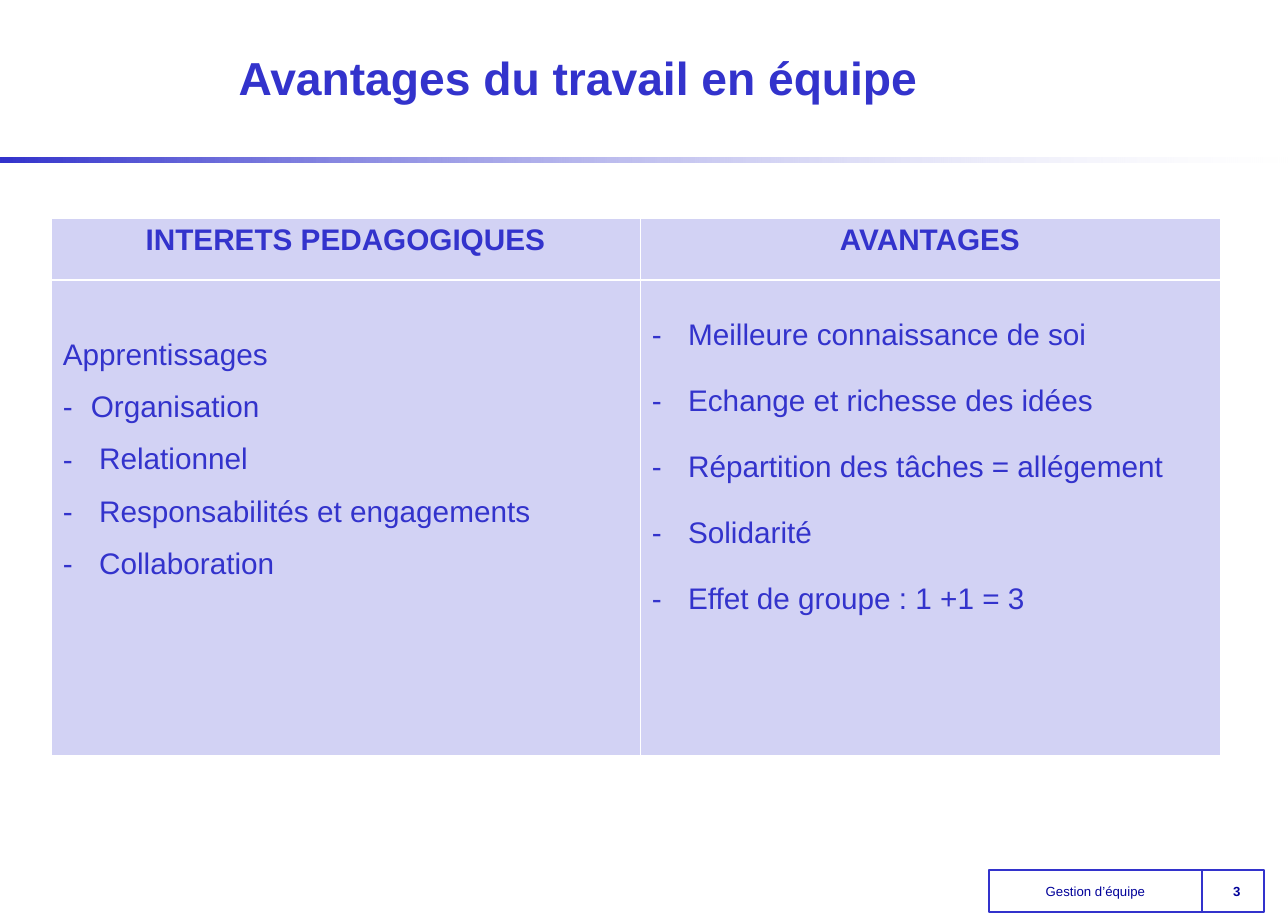
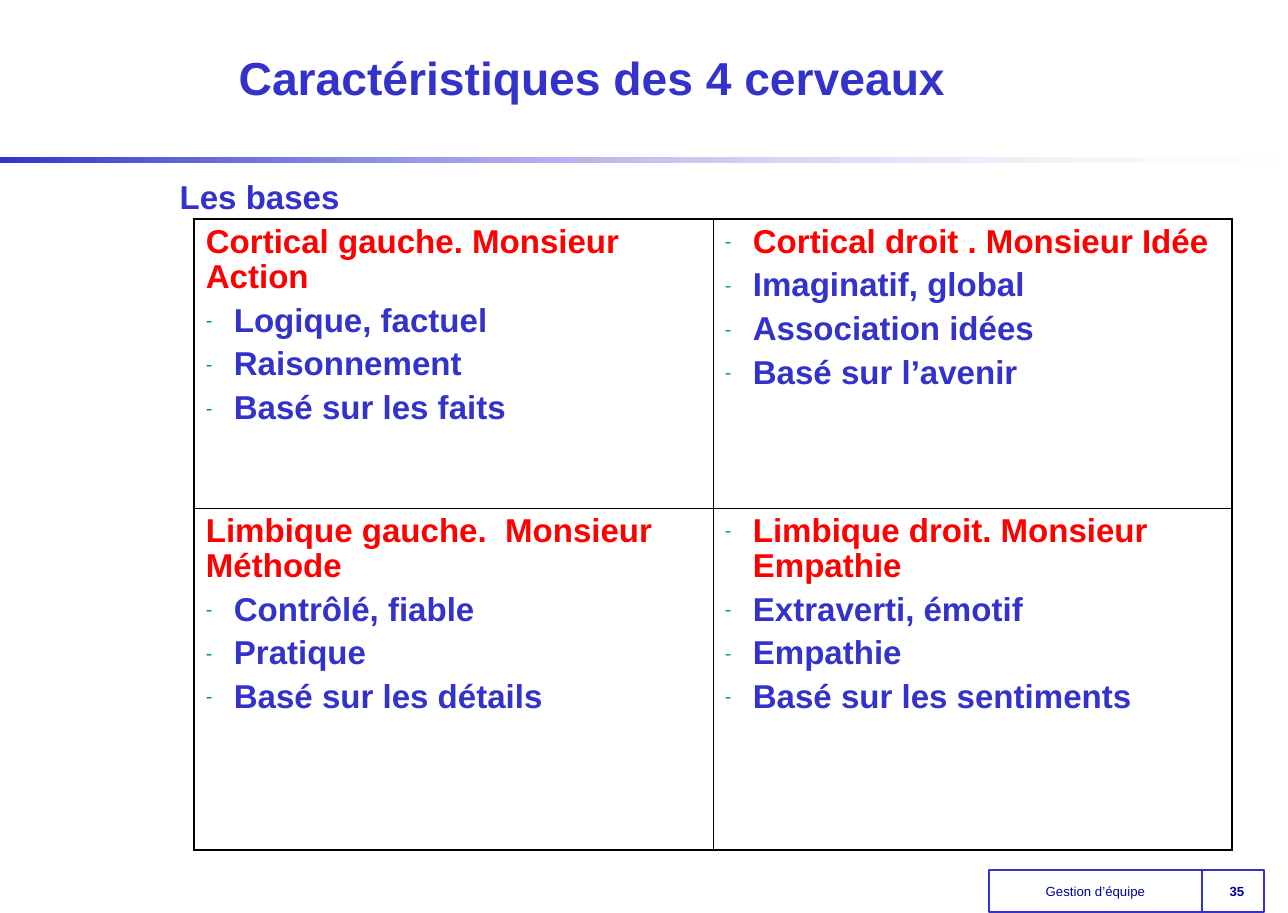
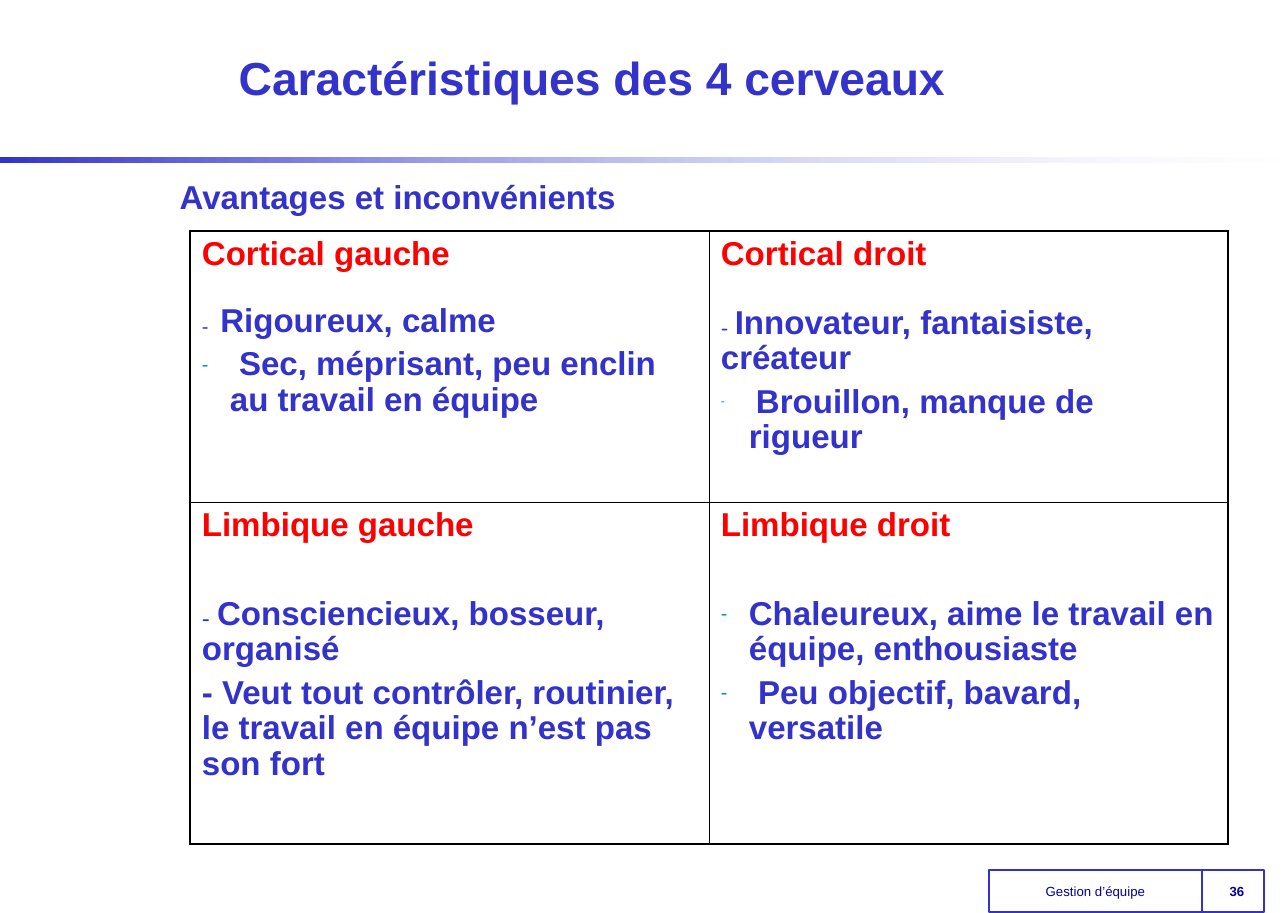
from dataclasses import dataclass
from lxml import etree
from pptx import Presentation
from pptx.dml.color import RGBColor
from pptx.enum.shapes import MSO_SHAPE
from pptx.enum.text import MSO_ANCHOR, PP_ALIGN
from pptx.oxml.ns import qn
from pptx.util import Pt

RECT = MSO_SHAPE.RECTANGLE
MIDDLE = MSO_ANCHOR.MIDDLE
CENTER = PP_ALIGN.CENTER
LEFT = PP_ALIGN.LEFT

# Shared look
BLUE, NAVY, RED, TEAL = "3333CC", "000099", "FF0000", "009999"
WHITE, BLACK, LILAC = "FFFFFF", "000000", "D2D2F4"
FONT, HAND = "Arial", "Comic Neue"
PX = 914400 / 118.9
WIDE, HIGH = 1288, 913
HANG = 28
rgb = RGBColor.from_string


@dataclass
class Line:
    text: str
    color: str = BLUE
    dash: str = ""         # colour of the dash bullet
    scale: int = 60        # size of the dash in percent
    before: float = 5
    bold: bool = True
    align: int = LEFT
    lead: tuple = ()       # text and size of a first run in the hand font


def write(frame, lines, size, space=1.0):
    frame.word_wrap = True
    for i, line in enumerate(lines):
        para = frame.paragraphs[0] if i == 0 else frame.add_paragraph()
        para.alignment = line.align
        para.line_spacing = space
        para.space_before = Pt(line.before if i else 0)
        parts = [(line.text, size, FONT)]
        if line.lead:
            parts.insert(0, (*line.lead, HAND))
        for text, points, face in parts:
            run = para.add_run()
            run.text = text
            font = run.font
            font.name, font.size, font.bold = face, Pt(points), line.bold
            font.color.rgb = rgb(line.color)
        if line.dash:
            props = para._p.get_or_add_pPr()
            props.set("marL", str(round(HANG * PX)))
            props.set("indent", str(round(-HANG * PX)))
            tint = etree.SubElement(props, qn("a:buClr"))
            etree.SubElement(tint, qn("a:srgbClr"), val=line.dash)
            etree.SubElement(props, qn("a:buSzPct"), val=str(line.scale * 1000))
            etree.SubElement(props, qn("a:buFont"), typeface=FONT)
            etree.SubElement(props, qn("a:buChar"), char="-")


def place(*box):
    return [round(v * PX) for v in box]


# Tables: cells are (top inset, lines), row by row
def_head = dict(align=CENTER)
blue_dash = dict(dash=BLUE, scale=100, bold=False)
teal_dash = dict(dash=TEAL)

team = [
    [(6, [Line("INTERETS PEDAGOGIQUES", **def_head)]),
     (6, [Line("AVANTAGES", **def_head)])],
    [(59, [Line("Apprentissages", bold=False)] + [
        Line(t, before=12, **blue_dash) for t in (
            "Organisation", " Relationnel",
            " Responsabilités et engagements", " Collaboration")]),
     (39, [Line(t, before=20.25, **blue_dash) for t in (
         " Meilleure connaissance de soi",
         " Echange et richesse des idées",
         " Répartition des tâches = allégement",
         " Solidarité", " Effet de groupe : 1 +1 = 3")])],
]

basics = [
    [("Cortical gauche. Monsieur Action", "",
      ("Logique, factuel", "Raisonnement", "Basé sur les faits")),
     ("Cortical droit . Monsieur Idée", TEAL,
      ("Imaginatif, global", "Association idées", "Basé sur l’avenir"))],
    [("Limbique gauche.  Monsieur Méthode", "",
      ("Contrôlé, fiable", "Pratique", "Basé sur les détails")),
     ("Limbique droit. Monsieur Empathie", TEAL,
      ("Extraverti, émotif", "Empathie", "Basé sur les sentiments"))],
]
basics = [[(6, [Line(head, RED, dash)] + [Line(t, **teal_dash) for t in items])
           for head, dash, items in row] for row in basics]

traits = [
    [(6, [Line("Cortical gauche", RED),
          Line("Rigoureux, calme", before=19, lead=("-  ", 10)),
          Line(" Sec, méprisant, peu enclin au travail en équipe", **teal_dash)]),
     (6, [Line("Cortical droit", RED),
          Line("Innovateur, fantaisiste, créateur", before=20.25, lead=("- ", 11)),
          Line("Brouillon, manque de rigueur", lead=(" ", 12), **teal_dash)])],
    [(6, [Line("Limbique gauche", RED),
          Line("Consciencieux, bosseur, organisé", before=32.5, lead=("- ", 12)),
          Line("- Veut tout contrôler, routinier, le travail en équipe "
               "n’est pas son fort")]),
     (6, [Line("Limbique droit", RED),
          Line("Chaleureux, aime le travail en équipe, enthousiaste",
               before=32.5, **teal_dash),
          Line(" Peu objectif, bavard, versatile", **teal_dash)])],
]

# Title, number, subtitle, cells, left, top, columns, rows,
# text size, line spacing, fill, border colour, outer and middle widths
BRAIN = "Caractéristiques des 4 cerveaux"
deck = [
    ("Avantages du travail en équipe", "3", "", team, 51, 218,
     (589, 580), (62, 475), 18, 0.98, LILAC, WHITE, 0.45, 1.47),
    (BRAIN, "35", "Les bases", basics, 194, 219,
     (519, 519), (289, 342), 20, 0.96, "", BLACK, 1.08, 0.45),
    (BRAIN, "36", "Avantages et inconvénients", traits, 190, 231,
     (519, 519), (271, 342), 20, 0.96, "", BLACK, 1.08, 0.45),
]

prs = Presentation()
prs.slide_width, prs.slide_height = place(WIDE, HIGH)

for (title, num, sub, cells, left, top, cols, rows,
     size, space, fill, edge, outer, mid) in deck:
    slide = prs.slides.add_slide(prs.slide_layouts[6])
    shapes = slide.shapes

    # Footer boxes
    for x, w, text in ((989, 213, "Gestion d’équipe"), (1202, 62, "")):
        box = shapes.add_shape(RECT, *place(x, 870, w, 42))
        box.shadow.inherit = False
        box.fill.background()
        box.line.color.rgb = rgb(BLUE)
        box.line.width = Pt(0.74)
        if text:
            box.text_frame.vertical_anchor = MIDDLE
            write(box.text_frame,
                  [Line(text, NAVY, bold=False, align=CENTER)], 8)

    # Fading band
    band = shapes.add_shape(RECT, *place(0, 158, WIDE, 5))
    band.shadow.inherit = False
    band.line.fill.background()
    band.fill.gradient()
    band.fill.gradient_angle = 0
    for stop, tone in zip(band.fill.gradient_stops, (BLUE, WHITE)):
        stop.color.rgb = rgb(tone)
        stop.position = float(tone == WHITE)
    tint = band._element.findall(".//" + qn("a:gs") + "/" + qn("a:srgbClr"))[-1]
    etree.SubElement(tint, qn("a:alpha"), val="20000")

    # Title, page number and subtitle
    texts = [
        ((227, 7, 1025, 140), MIDDLE, Line(title), 28),
        ((1206, 869, 62, 44), MIDDLE, Line(num, NAVY, align=CENTER), 8),
    ]
    if sub:
        texts.append(((168, 171, 1088, 742), MSO_ANCHOR.TOP, Line(sub), 20))
    for spot, anchor, line, points in texts:
        frame = shapes.add_textbox(*place(*spot)).text_frame
        frame.vertical_anchor = anchor
        if points == 8:
            frame.margin_left = frame.margin_right = round(5 * PX)
        write(frame, [line], points)

    # Table
    table = shapes.add_table(len(rows), len(cols), *place(
        left, top, sum(cols), sum(rows))).table
    table.first_row = table.horz_banding = False
    for col, w in zip(table.columns, cols):
        col.width = round(w * PX)
    for r, row in enumerate(cells):
        table.rows[r].height = round(rows[r] * PX)
        for c, (inset, lines) in enumerate(row):
            cell = table.cell(r, c)
            cell.margin_top = round(inset * PX)
            write(cell.text_frame, lines, size, space)
            if fill:
                cell.fill.solid()
                cell.fill.fore_color.rgb = rgb(fill)
            else:
                cell.fill.background()
            widths = {
                "L": 0.45 if c else outer, "R": outer if c else 0.45,
                "T": mid if r else outer, "B": outer if r else mid,
            }
            props = cell._tc.get_or_add_tcPr()
            for i, (side, width) in enumerate(widths.items()):
                rule = etree.Element(qn("a:ln" + side), w=str(Pt(width)))
                solid = etree.SubElement(rule, qn("a:solidFill"))
                etree.SubElement(solid, qn("a:srgbClr"), val=edge)
                props.insert(i, rule)

prs.save("out.pptx")
